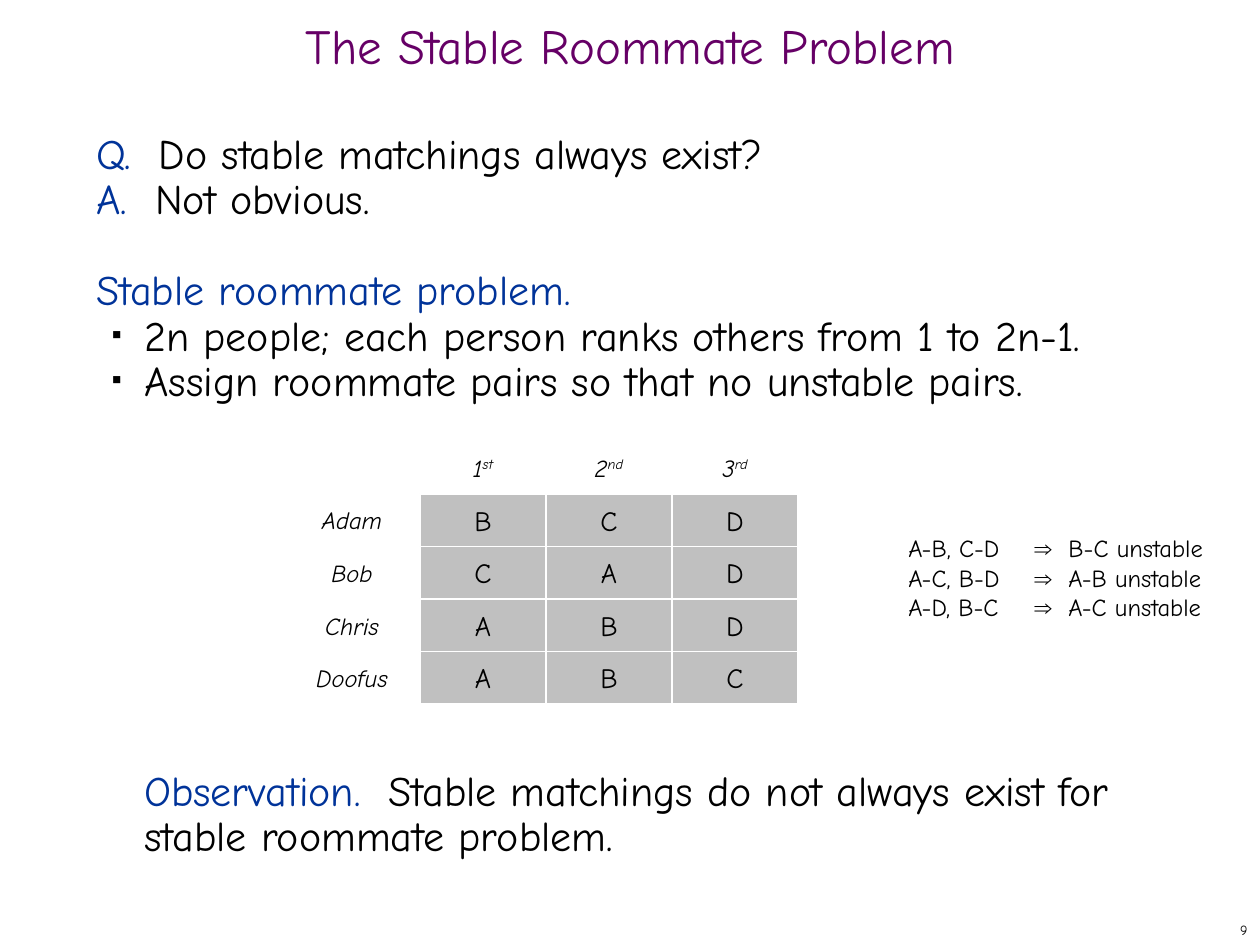
import lxml.etree
import pptx
import pptx.dml.color
import pptx.enum.shapes
import pptx.enum.text
import pptx.oxml.ns
import pptx.util

theme = {
    "ink": "000000", "title": "660066", "key": "003399",
    "cell": "C0C0C0", "paper": "FFFFFF",
    "face": "Comic Neue", "sign": "Arial",
    "head": 28, "body": 24, "grid": 16, "note": 14, "page": 8,
}
Pt = pptx.util.Pt
Rgb = pptx.dml.color.RGBColor.from_string
Align = pptx.enum.text.PP_ALIGN
Anchor = pptx.enum.text.MSO_ANCHOR
Rect = pptx.enum.shapes.MSO_SHAPE.RECTANGLE
qn = pptx.oxml.ns.qn
add = lxml.etree.SubElement


def px(count):
    return round(count * 914400 / 126)


def write(para, text, size, color="ink", face="face", italic=False):
    run = para.add_run()
    run.text = text
    form = {"size": Pt(theme[size]), "name": theme[face], "italic": italic}
    for key, value in form.items():
        setattr(run.font, key, value)
    run.font.color.rgb = Rgb(theme[color])
    return run


deck = pptx.Presentation()
deck.slide_width, deck.slide_height = px(1260), px(945)
slide = deck.slides.add_slide(deck.slide_layouts[5])

title = slide.shapes.title
place = {"left": 0, "top": 21, "width": 1260, "height": 63}
for key, value in place.items():
    setattr(title, key, px(value))
page = slide.shapes.add_textbox(px(998), px(914), px(262), px(31))
body = slide.shapes.add_textbox(px(84), px(126), px(1081), px(746))

frames = [
    (title, {"word_wrap": True, "vertical_anchor": Anchor.MIDDLE}),
    (body, {"word_wrap": True, "vertical_anchor": Anchor.TOP}),
    (page, {"word_wrap": False, "vertical_anchor": Anchor.MIDDLE}),
]

para = title.text_frame.paragraphs[0]
para.alignment, para.line_spacing = Align.CENTER, 0.7
write(para, "The Stable Roommate Problem", "head", "title")

para = page.text_frame.paragraphs[0]
para.alignment = Align.RIGHT
write(para, "9", "page")

lines = [
    ("Q.  ", "Do stable matchings always exist?", 0, 0, False),
    ("A.  ", "Not obvious.", 0, 0, False),
    ("Stable roommate problem.", "", 1, 0, False),
    ("", "2n people; each person ranks others from 1 to 2n-1.", 0, 48, True),
    ("", "Assign roommate pairs so that no unstable pairs.", 0, 48, True),
    ("Observation.  ", "Stable matchings do not always exist for stable roommate problem.", 8, 48, False),
]
for order, (lead, text, skip, inset, dot) in enumerate(lines):
    para = body.text_frame.add_paragraph() if order else body.text_frame.paragraphs[0]
    para.line_spacing, para.space_before = Pt(26), Pt(26 * skip)
    props = para._p.get_or_add_pPr()
    props.set("marL", str(px(inset)))
    props.set("indent", str(px(-32 if dot else 0)))
    if dot:
        tint = add(props, qn("a:buClr"))
        add(tint, qn("a:srgbClr"), val=theme["ink"])
        add(props, qn("a:buSzPct"), val="35000")
        add(props, qn("a:buFont"), typeface=theme["sign"])
        add(props, qn("a:buChar"), char="■")
    for part, color in ((lead, "key"), (text, "ink")):
        if part:
            write(para, part, "body", color)

rows = [
    ("Adam", "B", "C", "D"),
    ("Bob", "C", "A", "D"),
    ("Chris", "A", "B", "D"),
    ("Doofus", "A", "B", "C"),
]
high = px(105) // 2
for y, row in enumerate(rows):
    for x, text in enumerate(row):
        left, width = (420 + 126 * (x - 1), 126) if x else (284, 136)
        cell = slide.shapes.add_shape(Rect, px(left), px(494) + y * high, px(width), high)
        cell.shadow.inherit = False
        cell.line.color.rgb = Rgb(theme["paper"])
        cell.line.width = Pt(0.75)
        if x:
            cell.fill.solid()
            cell.fill.fore_color.rgb = Rgb(theme["cell"])
        else:
            cell.fill.background()
        para = cell.text_frame.paragraphs[0]
        para.alignment = Align.CENTER
        write(para, text, "grid" if x else "note", italic=not x)
        frames.append((cell, {"word_wrap": False, "vertical_anchor": Anchor.MIDDLE}))

for x, (rank, tail) in enumerate((("1", "st"), ("2", "nd"), ("3", "rd"))):
    head = slide.shapes.add_textbox(px(420 + 126 * x), px(441), px(126), high)
    para = head.text_frame.paragraphs[0]
    para.alignment = Align.CENTER
    write(para, rank, "note", italic=True)
    run = write(para, tail, "note", italic=True)
    run._r.get_or_add_rPr().set("baseline", "30000")
    frames.append((head, {"word_wrap": False, "vertical_anchor": Anchor.MIDDLE}))

note = slide.shapes.add_textbox(px(896), px(527), px(322), px(101))
frames.append((note, {"word_wrap": False, "vertical_anchor": Anchor.TOP}))
para = note.text_frame.paragraphs[0]
tabs = add(para._p.get_or_add_pPr(), qn("a:tabLst"))
add(tabs, qn("a:tab"), pos=str(px(126)), algn="l")
cases = [("A-B, C-D", "B-C"), ("A-C, B-D", "A-B"), ("A-D, B-C", "A-C")]
for order, (pairs, rival) in enumerate(cases):
    if order:
        para.add_line_break()
    write(para, pairs + "\t", "note")
    write(para, "⇒", "note", face="sign")
    write(para, f"  {rival} unstable", "note")

for shape, form in frames:
    form["auto_size"] = pptx.enum.text.MSO_AUTO_SIZE.NONE
    for key, value in form.items():
        setattr(shape.text_frame, key, value)

deck.save("out.pptx")
